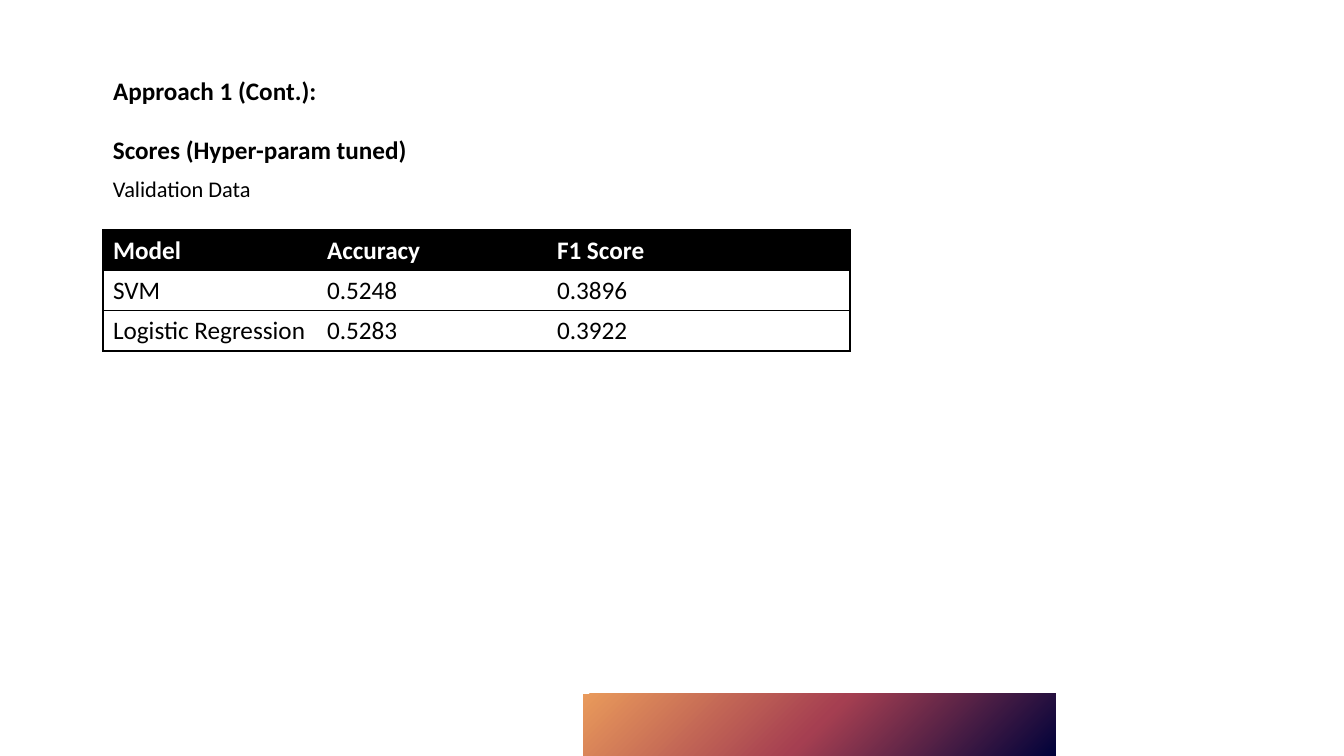
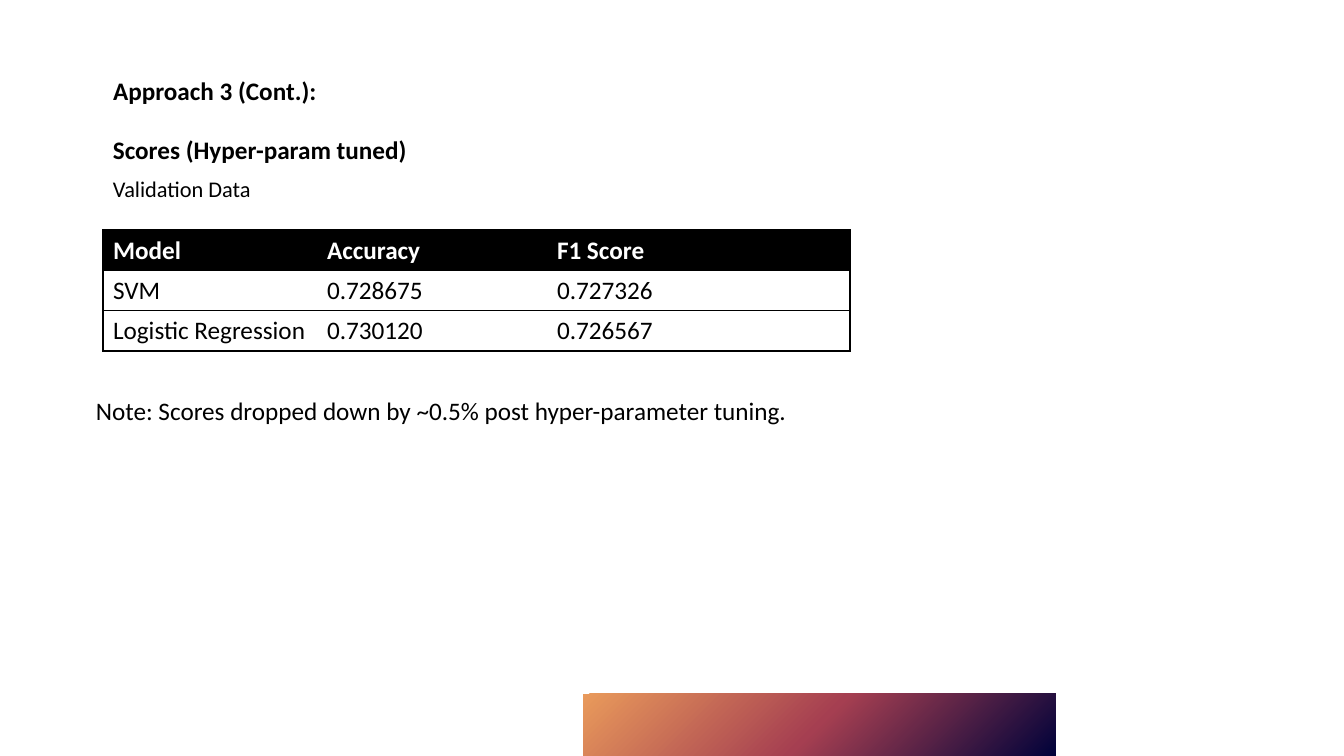
"""Build two slides that list model scores on validation data."""
import dataclasses

import pptx
import pptx.dml.color
import pptx.enum.shapes
import pptx.enum.text
import pptx.oxml
import pptx.oxml.ns
import pptx.util


@dataclasses.dataclass(frozen=True)
class Theme:
    """Hold the colours, font and type sizes."""
    font: str = "Calibri"
    ink: str = "000000"
    paper: str = "FFFFFF"
    blend: tuple = ((0, "00023A"), (50, "A53F51"), (100, "E99A5B"))
    body: int = 18
    small: int = 16
    rule: int = 1


THEME = Theme()
SCALE = 914400 / 100.8
HEAD = ("Model", "Accuracy", "F1 Score")
WIDTHS = (214, 230, 303)
LEFT = 103
WIDE = 369
PAGES = (
    ("Approach 1 (Cont.):",
     (("SVM", "0.5248", "0.3896"),
      ("Logistic Regression", "0.5283", "0.3922")),
     None),
    ("Approach 3 (Cont.):",
     (("SVM", "0.728675", "0.727326"),
      ("Logistic Regression", "0.730120", "0.726567")),
     "Note: Scores dropped down by ~0.5% post hyper-parameter tuning."),
)


def px(count):
    """Turn px into EMU."""
    return pptx.util.Emu(int(count * SCALE))


def tint(code):
    """Make a colour from its hex code."""
    return pptx.dml.color.RGBColor.from_string(code)


def node(markup):
    """Make a drawing element from markup without a namespace."""
    name, rest = markup[1:].split(" ", 1)
    space = pptx.oxml.ns.nsdecls("a")
    return pptx.oxml.parse_xml(f"<{name} {space} {rest}")


def write(frame, text, size=THEME.body, color=THEME.ink, bold=False):
    """Put one left-aligned line of text in a frame."""
    line = frame.paragraphs[0]
    line.alignment = pptx.enum.text.PP_ALIGN.LEFT
    run = line.add_run()
    run.text = text
    run.font.name = THEME.font
    run.font.size = pptx.util.Pt(size)
    run.font.bold = bold
    run.font.color.rgb = tint(color)


class Deck:
    """Hold the style and the current slide."""

    def __init__(self, theme):
        """Start a wide deck."""
        self.theme = theme
        self.file = pptx.Presentation()
        self.file.slide_width = px(1344)
        self.file.slide_height = px(756)
        self.slide = None

    def open(self, title):
        """Add a slide with its title and foot band."""
        self.slide = self.file.slides.add_slide(self.file.slide_layouts[5])
        box = self.slide.shapes.title
        box.left, box.top, box.width, box.height = map(px, (LEFT, 70, WIDE, 40))
        self.fit(box.text_frame)
        write(box.text_frame, title, bold=True)
        self.band()

    def band(self):
        """Draw the blended foot band."""
        band = self.slide.shapes.add_shape(
            pptx.enum.shapes.MSO_SHAPE.RECTANGLE, *map(px, (583, 694, 473, 62)))
        band.shadow.inherit = False
        band.line.fill.background()
        band.fill.gradient()
        stops = "".join(
            f'<a:gs pos="{place * 1000}"><a:srgbClr val="{code}"/></a:gs>'
            for place, code in self.theme.blend)
        blend = node(
            f'<a:gradFill rotWithShape="1"><a:gsLst>{stops}</a:gsLst>'
            '<a:path path="circle"><a:fillToRect l="100000" t="100000"/>'
            '</a:path></a:gradFill>')
        props = band.element.spPr
        props.replace(props.find(pptx.oxml.ns.qn("a:gradFill")), blend)

    def fit(self, frame):
        """Wrap the frame and let it grow from the top."""
        frame.word_wrap = True
        frame.auto_size = pptx.enum.text.MSO_AUTO_SIZE.SHAPE_TO_FIT_TEXT
        frame.vertical_anchor = pptx.enum.text.MSO_ANCHOR.TOP

    def text(self, words, left, top, width, height, **style):
        """Add a text box."""
        box = self.slide.shapes.add_textbox(*map(px, (left, top, width, height)))
        self.fit(box.text_frame)
        write(box.text_frame, words, **style)

    def table(self, rows, widths, left, top, step):
        """Add a ruled table with a dark head row."""
        grid = self.slide.shapes.add_table(
            len(rows), len(widths),
            *map(px, (left, top, sum(widths), step * len(rows)))).table
        grid.first_row = grid.horz_banding = False
        for col, width in zip(grid.columns, widths):
            col.width = px(width)
        for r, row in enumerate(rows):
            grid.rows[r].height = px(step)
            for c, words in enumerate(row):
                self.cell(grid.cell(r, c), words, r == 0,
                          c == 0, c == len(widths) - 1)

    def cell(self, cell, words, head, first, last):
        """Fill, write and rule one table cell."""
        theme = self.theme
        if head:
            cell.fill.solid()
            cell.fill.fore_color.rgb = tint(theme.ink)
        else:
            cell.fill.background()
        write(cell.text_frame, words, bold=head,
              color=theme.paper if head else theme.ink)
        props = cell._tc.get_or_add_tcPr()
        sides = {"L": first, "R": last, "T": True, "B": True}
        for spot, (side, ruled) in enumerate(sides.items()):
            paint = (f'<a:solidFill><a:srgbClr val="{theme.ink}"/></a:solidFill>'
                     if ruled else "<a:noFill/>")
            props.insert(spot, node(
                f'<a:ln{side} w="{pptx.util.Pt(theme.rule)}">{paint}</a:ln{side}>'))


def main():
    """Build and save the deck."""
    deck = Deck(THEME)
    for title, scores, note in PAGES:
        deck.open(title)
        deck.table((HEAD, *scores), WIDTHS, LEFT, 230, 40)
        deck.text("Scores (Hyper-param tuned)", LEFT, 129, WIDE, 40, bold=True)
        deck.text("Validation Data", LEFT, 170, WIDE, 37, size=THEME.small)
        if note:
            deck.text(note, 86, 390, 801, 40)
    deck.file.save("out.pptx")


if __name__ == "__main__":
    main()
